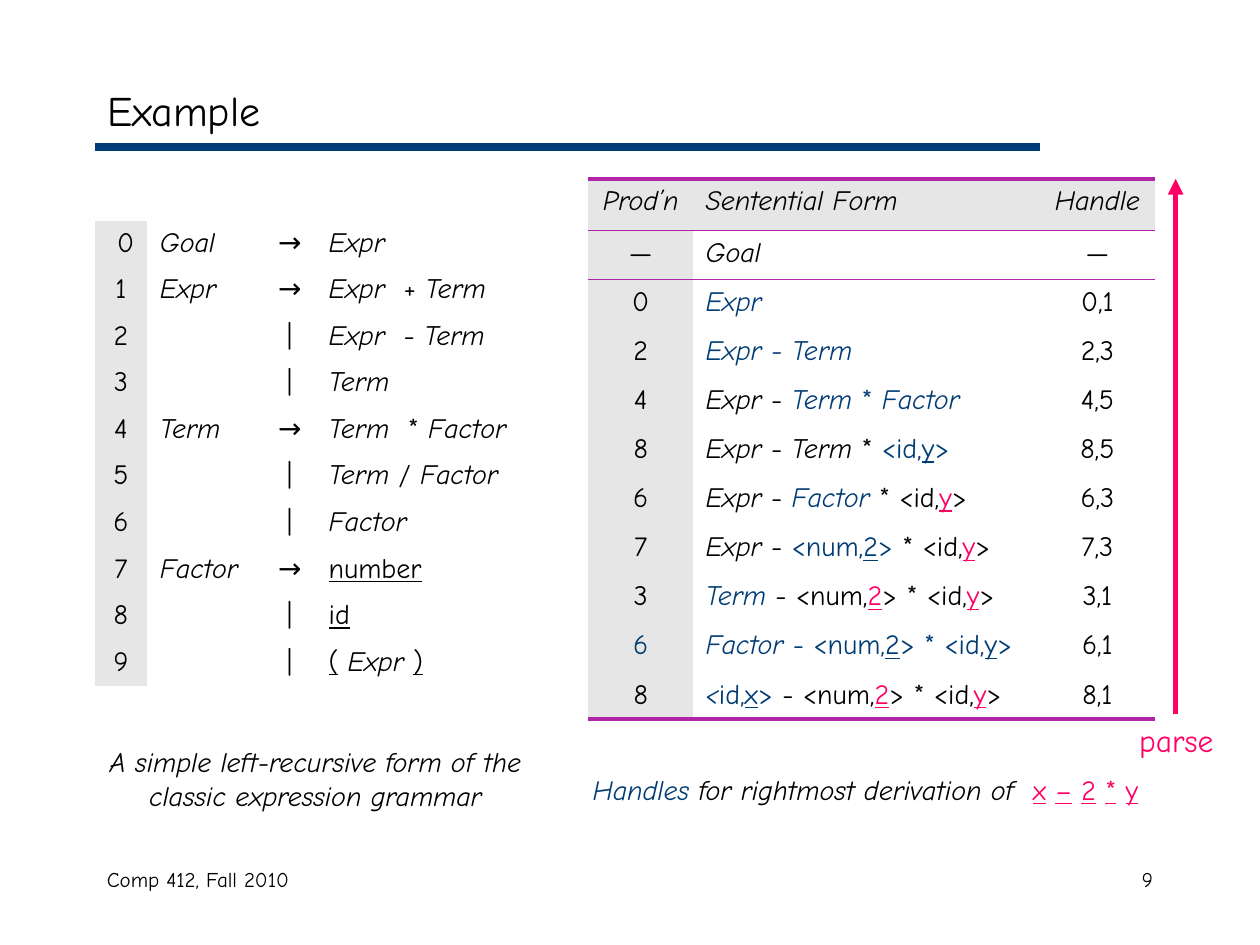
from dataclasses import dataclass
from typing import NamedTuple

from lxml.etree import SubElement
from pptx import Presentation
from pptx.dml.color import RGBColor
from pptx.enum.shapes import MSO_CONNECTOR
from pptx.enum.text import MSO_ANCHOR, PP_ALIGN
from pptx.oxml.ns import qn
from pptx.util import Inches, Pt

LEFT, MID, RIGHT = PP_ALIGN.LEFT, PP_ALIGN.CENTER, PP_ALIGN.RIGHT
MIDDLE = MSO_ANCHOR.MIDDLE
STRAIGHT = MSO_CONNECTOR.STRAIGHT
PLAIN_STYLE = "{2D5ABB26-0587-4C30-8999-92F81FD0307C}"


@dataclass(frozen=True)
class Theme:
    font: str = "Comic Neue"
    ink: str = "000000"
    blue: str = "003C75"
    pink: str = "FF0065"
    rule: str = "B025A6"
    shade: str = "E6E6E6"
    paper: str = "FFFFFF"
    title: int = 24
    label: int = 18
    body: int = 16
    foot: int = 12


THEME = Theme()


class Run(NamedTuple):
    """Text with marks: i italic, u underlined, b blue, p pink."""
    text: str
    marks: str = ""


class Box(NamedTuple):
    left: float
    top: float
    width: float
    height: float


class Note(NamedTuple):
    box: Box
    runs: tuple
    size: int
    align: PP_ALIGN


class Grid(NamedTuple):
    box: Box
    cols: tuple
    heights: list
    aligns: tuple
    rows: list


def it(text: str) -> tuple:
    return (Run(text, "i"),)


def plain(text: str) -> tuple:
    return (Run(text),)


EXPR, TERM, FACTOR = Run("Expr", "i"), Run("Term", "i"), Run("Factor", "i")
MINUS, TIMES = Run(" - "), Run(" * ")
ID_Y = (Run("y", "pu"), Run(">"))
NUM_ID = (Run("- <num,"), Run("2", "pu"), Run("> * <id,"), *ID_Y)

# Left side of each rule (empty for an alternative), then its right side
RULES = [
    ("Goal", (EXPR,)),
    ("Expr", (EXPR, Run("  + "), TERM)),
    ("", (EXPR, Run("  - "), TERM)),
    ("", (TERM,)),
    ("Term", (Run("Term  ", "i"), Run("* "), FACTOR)),
    ("", (TERM, Run(" / "), FACTOR)),
    ("", (FACTOR,)),
    ("Factor", (Run("number", "u"),)),
    ("", (Run("id", "u"),)),
    ("", (Run("(", "u"), Run(" "), Run("Expr ", "i"), Run(")", "u"), Run(" "))),
]

STEPS = [
    (it("Prod’n"), it("Sentential Form"), it("Handle")),
    (plain("—"), it("Goal"), plain("—")),
    (plain("0"), (Run("Expr", "bi"),), plain("0,1")),
    (plain("2"), (Run("Expr - Term", "bi"),), plain("2,3")),
    (plain("4"), (EXPR, MINUS, Run("Term", "bi"), Run(" * ", "b"),
                  Run("Factor", "bi")), plain("4,5")),
    (plain("8"), (EXPR, MINUS, TERM, TIMES, Run("<id,", "b"), Run("y", "bu"),
                  Run(">", "b")), plain("8,5")),
    (plain("6"), (EXPR, MINUS, Run("Factor", "bi"), Run(" * <id,"), *ID_Y),
     plain("6,3")),
    (plain("7"), (EXPR, MINUS, Run("<num,", "b"), Run("2", "bu"),
                  Run("> ", "b"), Run("* <id,"), *ID_Y), plain("7,3")),
    (plain("3"), (Run("Term ", "bi"), *NUM_ID), plain("3,1")),
    ((Run("6", "b"),), (Run("Factor ", "bi"), Run("- <num,", "b"),
                        Run("2", "bu"), Run("> * <id,", "b"), Run("y", "bu"),
                        Run(">", "b")), plain("6,1")),
    (plain("8"), (Run("<", "bi"), Run("id,", "b"), Run("x", "bu"),
                  Run("> ", "b"), *NUM_ID), plain("8,1")),
]

GRAMMAR = Grid(
    Box(0.75, 1.75, 3.67, 3.7), (0.42, 0.92, 0.42, 1.91), [0.37] * len(RULES),
    (MID, LEFT, MID, LEFT),
    [(plain(str(n) if n else " 0"), it(name) if name else (),
      plain("→" if name else "|"), body)
     for n, (name, body) in enumerate(RULES)])

TRACE = Grid(
    Box(4.67, 1.42, 4.5, 4.27), (0.83, 2.75, 0.92),
    [0.41] + [0.39] * (len(STEPS) - 2) + [0.37], (MID, LEFT, MID), STEPS)

INPUT = (Run("x", "pu"), Run(" ", "p"), Run("–", "pu"), Run(" ", "p"),
         Run("2", "pu"), Run(" ", "p"), Run("*", "pu"), Run(" ", "p"),
         Run("y", "pu"), Run(" ", "pi"))
NOTES = [
    Note(Box(0.75, 6.83, 3.17, 0.5), plain("Comp 412, Fall 2010"), THEME.foot, LEFT),
    Note(Box(7.17, 6.83, 2.08, 0.5), plain("9"), THEME.foot, RIGHT),
    Note(Box(0.67, 5.86, 3.67, 0.64),
         it("A simple left-recursive form of the classic expression grammar"),
         THEME.body, MID),
    Note(Box(4.38, 6.08, 5.05, 0.37),
         (Run("Handles ", "bi"), Run("for rightmost derivation of  ", "i"), *INPUT),
         THEME.body, MID),
]
PARSE = Note(Box(8.75, 5.67, 1.17, 0.4), (Run("parse", "p"),), THEME.label, MID)


def rgb(code: str) -> RGBColor:
    return RGBColor.from_string(code)


def write(frame, runs: tuple, size: int, align: PP_ALIGN) -> None:
    para = frame.paragraphs[0]
    para.alignment = align
    for text, marks in runs:
        run = para.add_run()
        run.text = text
        font = run.font
        font.name, font.size = THEME.font, Pt(size)
        font.italic, font.underline = "i" in marks, "u" in marks
        tint = THEME.blue if "b" in marks else THEME.pink if "p" in marks else THEME.ink
        font.color.rgb = rgb(tint)
    if not runs:  # keeps an empty cell from growing its row
        SubElement(para._p, qn("a:endParaRPr"), sz=str(size * 100))


def add_note(shapes, note: Note):
    shape = shapes.add_textbox(*map(Inches, note.box))
    shape.text_frame.word_wrap = True
    write(shape.text_frame, note.runs, note.size, note.align)
    return shape


def add_line(shapes, start: tuple, end: tuple, tint: str, width: float):
    line = shapes.add_connector(STRAIGHT, *map(Inches, start + end))
    line.line.color.rgb, line.line.width = rgb(tint), Pt(width)
    SubElement(line._element.spPr, qn("a:effectLst"))
    return line


def add_edge(cell, side: str, width: float) -> None:
    """Draw one cell border; call it before the fill is set."""
    edge = SubElement(cell._tc.get_or_add_tcPr(), qn(f"a:ln{side}"), w=str(Pt(width)))
    SubElement(SubElement(edge, qn("a:solidFill")), qn("a:srgbClr"), val=THEME.rule)


def add_grid(shapes, grid: Grid, ruled: bool) -> None:
    frame = shapes.add_table(len(grid.rows), len(grid.cols), *map(Inches, grid.box))
    table = frame.table
    table.first_row = table.horz_banding = False
    next(frame._element.iter(qn("a:tableStyleId"))).text = PLAIN_STYLE
    for col, width in zip(table.columns, grid.cols):
        col.width = Inches(width)
    for row, height in zip(table.rows, grid.heights):
        row.height = Inches(height)
    edges = {0: (("T", 2.25), ("B", 1)), 1: (("T", 1),),
             len(grid.rows) - 1: (("B", 2.25),)}
    for r, row in enumerate(grid.rows):
        for c, (runs, align) in enumerate(zip(row, grid.aligns)):
            cell = table.cell(r, c)
            write(cell.text_frame, runs, THEME.body, align)
            for side, width in edges.get(r, ()) if ruled else ():
                add_edge(cell, side, width)
            if c == 0 or ruled:
                cell.fill.solid()
                dark = c == 0 or r == 0
                cell.fill.fore_color.rgb = rgb(THEME.shade if dark else THEME.paper)
            else:
                cell.fill.background()


def main() -> None:
    deck = Presentation()
    deck.slide_width, deck.slide_height = Inches(10), Inches(7.5)
    slide = deck.slides.add_slide(deck.slide_layouts[5])
    shapes = slide.shapes
    add_line(shapes, (0.75, 1.17), (8.25, 1.17), THEME.blue, 4.5)
    title = shapes.title
    title.left, title.top, title.width, title.height = map(Inches, (0.75, 0.58, 8.5, 0.58))
    title.text_frame.vertical_anchor = MIDDLE
    write(title.text_frame, plain("Example"), THEME.title, LEFT)
    for note in NOTES:
        add_note(shapes, note)
    add_grid(shapes, GRAMMAR, ruled=False)
    add_grid(shapes, TRACE, ruled=True)
    arrow = add_line(shapes, (9.33, 5.67), (9.33, 1.42), THEME.pink, 3)
    SubElement(arrow.line._get_or_add_ln(), qn("a:tailEnd"), type="triangle")
    shapes.add_group_shape([arrow, add_note(shapes, PARSE)])
    deck.save("out.pptx")


if __name__ == "__main__":
    main()
